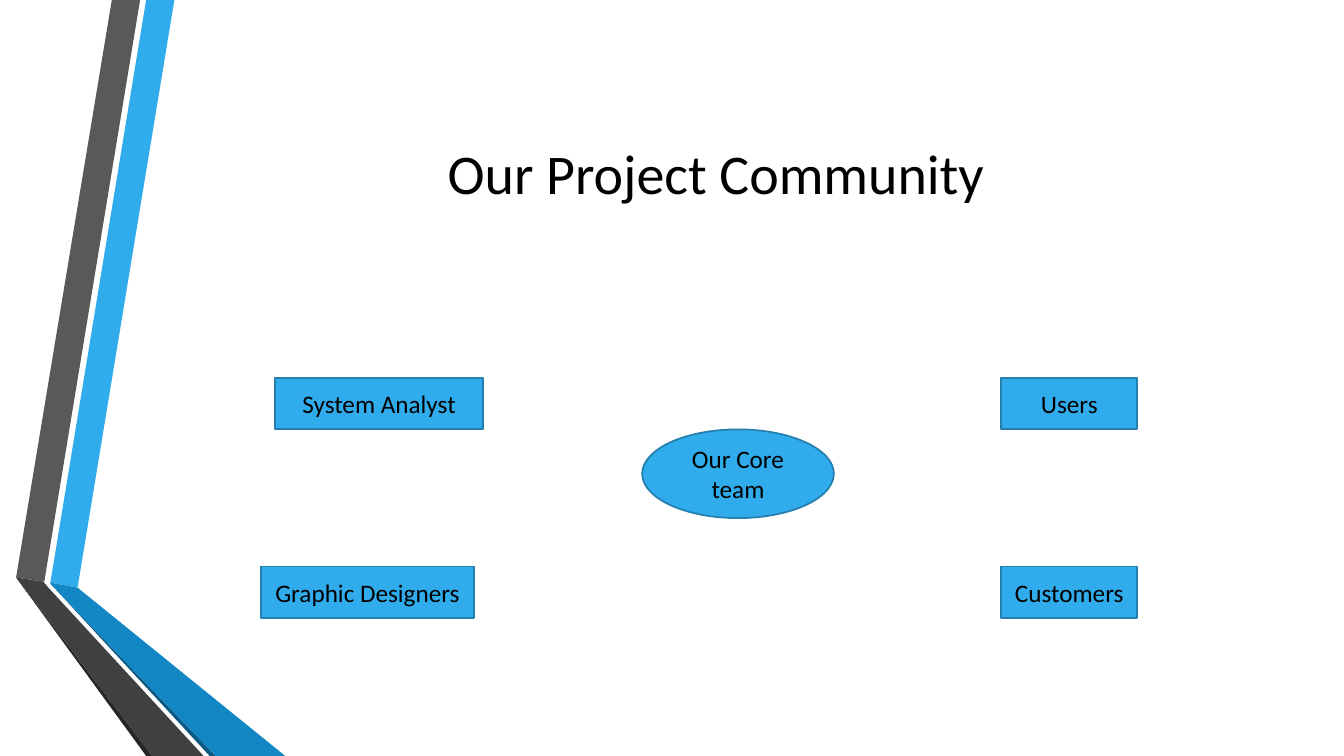
from pptx import Presentation
from pptx.dml.color import RGBColor
from pptx.enum.shapes import MSO_SHAPE as Preset
from pptx.enum.text import MSO_ANCHOR as Anchor, PP_ALIGN as Align
from pptx.util import Emu, Pt

PX = 9144  # 100 px to the inch

COLORS = {
    "text": "000000",
    "accent": "30ACEC",
    "outline": "247FAF",
    "blue_fold": "1287C3",
    "blue_shadow": "0C5A82",
    "gray": "595959",
    "gray_fold": "404040",
    "gray_shadow": "262626",
}

RIBBONS = [
    ("accent", [(50, 578), (77, 583), (173, 0), (145, 0)]),
    ("gray", [(139, 0), (111, 0), (16, 573), (44, 577)]),
    ("gray_shadow", [(16, 573), (145, 750), (151, 750)]),
    ("blue_shadow", [(50, 579), (208, 750), (214, 750)]),
    ("blue_fold", [(50, 578), (50, 579), (214, 750), (283, 750), (77, 583)]),
    ("gray_fold", [(202, 750), (48, 583), (43, 577), (16, 573), (151, 750)]),
]

UPPER_ROW, LOWER_ROW, RIGHT_COLUMN = 375, 562, 993
ROLE_HEIGHT = 51
ROLES = [
    ("Users", RIGHT_COLUMN, UPPER_ROW, 135),
    ("System Analyst", 273, UPPER_ROW, 206),
    ("Customers", RIGHT_COLUMN, LOWER_ROW, 135),
    ("Graphic Designers", 259, LOWER_ROW, 211),
]


def color(name):
    return RGBColor.from_string(COLORS[name])


class CommunitySlide:
    font_name = "Calibri"

    def __init__(self, slide):
        self.slide = slide

    def set_text(self, frame, text, size):
        frame.text = text
        frame.word_wrap = True
        frame.vertical_anchor = Anchor.MIDDLE
        paragraph = frame.paragraphs[0]
        paragraph.alignment = Align.CENTER
        font = paragraph.runs[0].font
        for key, value in {"name": self.font_name, "size": Pt(size)}.items():
            setattr(font, key, value)
        font.color.rgb = color("text")

    def paint(self, shape, fill):
        shape.shadow.inherit = False
        shape.fill.solid()
        shape.fill.fore_color.rgb = color(fill)

    def ribbon(self, fill, points):
        builder = self.slide.shapes.build_freeform(*points[0], scale=PX)
        builder.add_line_segments(points[1:], close=True)
        band = builder.convert_to_shape()
        self.paint(band, fill)
        band.line.fill.background()

    def title(self, text, left, top, width, height):
        heading = self.slide.shapes.title
        place = {"left": left, "top": top, "width": width, "height": height}
        for key, value in place.items():
            setattr(heading, key, Emu(value * PX))
        self.set_text(heading.text_frame, text, 40)

    def node(self, preset, text, *box):
        group = self.slide.shapes.add_shape(preset, *(Emu(v * PX) for v in box))
        self.paint(group, "accent")
        group.line.color.rgb = color("outline")
        group.line.width = Pt(1.25)
        self.set_text(group.text_frame, text, 18)


def main():
    deck = Presentation()
    deck.slide_width, deck.slide_height = Emu(1333 * PX), Emu(750 * PX)
    title_only = deck.slide_layouts[5]
    community = CommunitySlide(deck.slides.add_slide(title_only))

    for fill, points in RIBBONS:
        community.ribbon(fill, points)
    community.title("Our Project Community", 162, 75, 1096, 192)
    community.node(Preset.OVAL, "Our Core team", 637, 426, 190, 88)
    for role, left, top, width in ROLES:
        community.node(Preset.RECTANGLE, role, left, top, width, ROLE_HEIGHT)

    deck.save("out.pptx")


if __name__ == "__main__":
    main()
